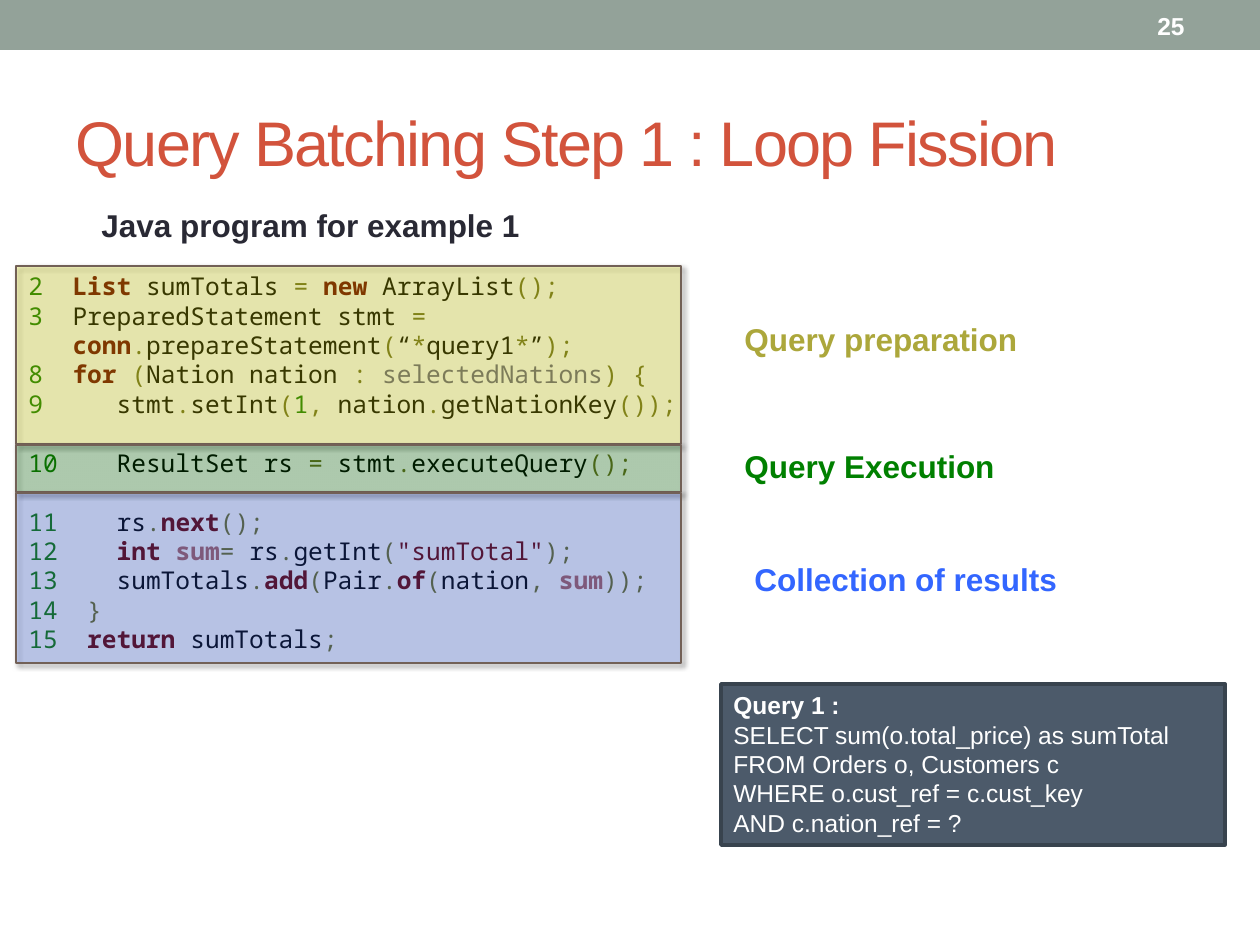
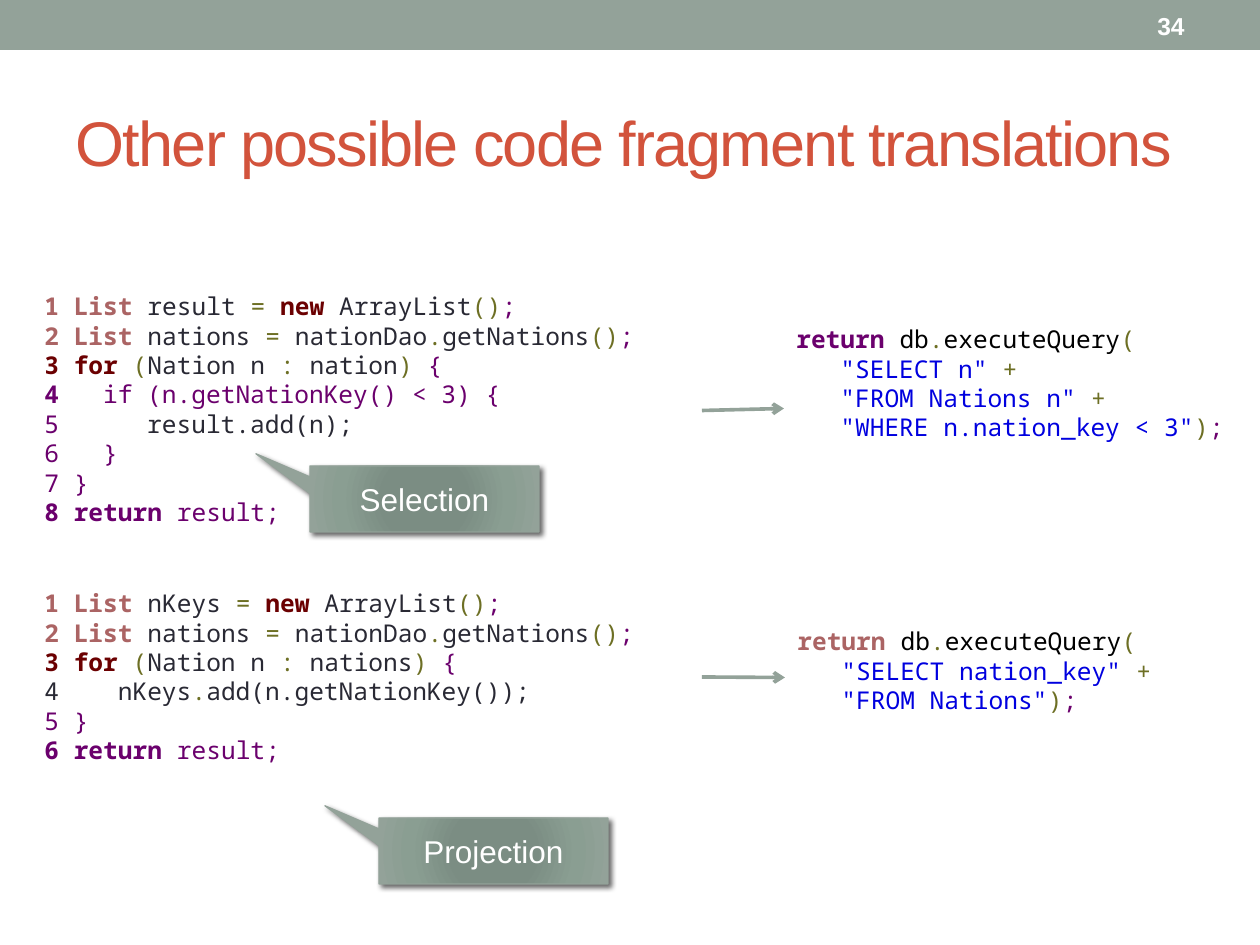
from typing import NamedTuple

from lxml import etree
from pptx import Presentation
from pptx.dml.color import RGBColor
from pptx.enum.shapes import MSO_CONNECTOR, MSO_SHAPE
from pptx.enum.text import MSO_ANCHOR, PP_ALIGN
from pptx.oxml import parse_xml
from pptx.oxml.ns import nsdecls, qn
from pptx.util import Emu, Pt

EMU_PER_PX = 914400 / 126
CODE_SIZE = 14
CODE_COLUMN = 8.4
CODE_LINE = 16.8
SANS = "Arial"
MONO = "Noto Sans Mono"

RECTANGLE = MSO_SHAPE.RECTANGLE
CALLOUT = MSO_SHAPE.RECTANGULAR_CALLOUT
STRAIGHT = MSO_CONNECTOR.STRAIGHT
TOP, MIDDLE = MSO_ANCHOR.TOP, MSO_ANCHOR.MIDDLE
LEFT, CENTER, RIGHT = PP_ALIGN.LEFT, PP_ALIGN.CENTER, PP_ALIGN.RIGHT

WHITE = RGBColor(0xFF, 0xFF, 0xFF)
BLACK = RGBColor(0, 0, 0)
INK = RGBColor(0x29, 0x29, 0x34)
SAGE = RGBColor(0x93, 0xA2, 0x99)
BRICK = RGBColor(0xD2, 0x53, 0x3C)
SLATE = RGBColor(0x4C, 0x5A, 0x6A)
SLATE_DARK = RGBColor(0x38, 0x43, 0x4E)
UMBER = RGBColor(0x72, 0x60, 0x56)
YELLOW = RGBColor(0xFF, 0xFF, 0)
OLIVE = RGBColor(0xAC, 0xA7, 0x3B)
GREEN = RGBColor(0, 0x80, 0)
BLUE = RGBColor(0x33, 0x66, 0xFF)
OPERATOR = RGBColor(0x6D, 0x6F, 0x24)
KEYWORD = RGBColor(0x6B, 0, 0x01)
NUMBER = RGBColor(0x10, 0x7D, 0x02)
ROSE = RGBColor(0xAB, 0x64, 0x64)
FADED = RGBColor(0x66, 0x65, 0x85)
PURPLE = RGBColor(0x6B, 0, 0x6D)
SQL = RGBColor(0, 0, 0xDF)
CALLOUT_STOPS = ((0, "7B8E82"), (34, "7B8D83"), (70, "8A9E92"), (100, "93A299"))

STYLES = {
    "x": (BLACK, False), "i": (INK, False), "o": (OPERATOR, False),
    "K": (KEYWORD, True), "k": (KEYWORD, False), "n": (NUMBER, False),
    "R": (ROSE, True), "f": (FADED, False), "p": (PURPLE, False),
    "P": (PURPLE, True), "s": (SQL, False), "W": (WHITE, True),
}


class Box(NamedTuple):
    left: int
    top: int
    width: int
    height: int

    def emu(self) -> list[Emu]:
        return [Emu(round(length * EMU_PER_PX)) for length in self]


class Line(NamedTuple):
    markup: str
    column: int = 0
    lines_before: int = 0


class Stage(NamedTuple):
    label: str
    area: Box
    label_box: Box
    tint: RGBColor
    label_color: RGBColor


class Translation(NamedTuple):
    java: list[Line]
    java_box: Box
    query: list[Line]
    query_box: Box
    kind: str
    kind_box: Box


LOOP_PROGRAM = [
    Line("~n2\t~KList ~xsumTotals ~o= ~Knew ~xArrayList~o();", 3),
    Line("~n3\t~xPreparedStatement stmt ~o=", 3),
    Line("~Kconn~o.~xprepareStatement~o(~x“~o*~xquery1~o*~x”~o);", 3),
    Line("~n8\t~Kfor ~o(~xNation nation ~o: ~fselectedNations~o) {", 3),
    Line("~n9\t~xstmt~o.~xsetInt~o(~n1~o, ~xnation~o.~xgetNationKey~o());", 6),
    Line("~n10\t~xResultSet rs ~o= ~xstmt~o.~xexecuteQuery~o();", 6, 1),
    Line("~n11\t~xrs~o.~Knext~o();", 6, 1),
    Line('~n12\t~Kint ~Rsum~o= ~xrs~o.~xgetInt~o(~k"sumTotal"~o);', 6),
    Line("~n13\t~xsumTotals~o.~Kadd~o(~xPair~o.~Kof~o(~xnation~o, ~Rsum~o));", 6),
    Line("~n14\t~o}", 4),
    Line("~n15\t~Kreturn ~xsumTotals~o;", 4),
]

QUERY_1 = [
    Line("~WQuery 1 :"),
    Line("SELECT sum(o.total_price) as sumTotal"),
    Line("FROM Orders o, Customers c"),
    Line("WHERE o.cust_ref = c.cust_key"),
    Line("AND c.nation_ref = ?"),
]

STAGES = [
    Stage("Query preparation", Box(16, 266, 665, 178), Box(732, 314, 302, 50), YELLOW, OLIVE),
    Stage("Query Execution", Box(16, 445, 665, 47), Box(732, 441, 302, 50), GREEN, GREEN),
    Stage("Collection of results", Box(16, 493, 665, 170), Box(742, 554, 331, 50), BLUE, BLUE),
]

GET_NATIONS = Line("~R2\tList~i nations ~o= ~inationDao~o.~igetNations~o()~p;", 2)
EXECUTE_QUERY = "~xdb~o.~xexecuteQuery~o("

TRANSLATIONS = [
    Translation(
        [
            Line("~R1\tList~i result ~o= ~Knew ~iArrayList~o()~p;", 2),
            GET_NATIONS,
            Line("~K3\tfor ~o(~iNation n ~o: ~ination~o) ~p{", 2),
            Line("~P4\t~pif (n.getNationKey() < 3) {", 4),
            Line("~p5\t~iresult.add(n);", 7),
            Line("~p6\t}", 4),
            Line("~p7\t}", 2),
            Line("~P8\treturn ~presult;", 2),
        ],
        Box(32, 285, 670, 251),
        [
            Line("~Preturn " + EXECUTE_QUERY),
            Line('~s"SELECT n" ~o+', 3),
            Line('~s"FROM Nations n" ~o+', 3),
            Line('~s"WHERE n.nation_key < 3"~o)~p;', 3),
        ],
        Box(784, 318, 476, 181),
        "Selection", Box(310, 466, 229, 66),
    ),
    Translation(
        [
            Line("~R1\tList ~inKeys ~o= ~Knew ~iArrayList~o()~p;", 2),
            GET_NATIONS,
            Line("~K3\tfor ~o(~iNation n ~o: ~inations~o) ~p{", 2),
            Line("~i4\tnKeys~o.~iadd(n.getNationKey());", 5),
            Line("~p5\t}", 2),
            Line("~P6\treturn ~presult;", 2),
        ],
        Box(32, 582, 670, 190),
        [
            Line("~Rreturn " + EXECUTE_QUERY),
            Line('~s"SELECT nation_key" ~o+', 3),
            Line('~s"FROM Nations"~o)~p;', 3),
        ],
        Box(785, 620, 476, 115),
        "Projection", Box(379, 818, 229, 66),
    ),
]


def write(shape, lines: list[Line], *, size: int = 18, font: str = SANS,
          color: RGBColor = INK, bold: bool = False, align=LEFT, anchor=TOP,
          tracking: int = 0) -> None:
    frame = shape.text_frame
    frame.word_wrap = True
    frame.vertical_anchor = anchor
    for index, line in enumerate(lines):
        paragraph = frame.add_paragraph() if index else frame.paragraphs[0]
        paragraph.alignment = align
        paragraph.space_before = Pt(line.lines_before * CODE_LINE)
        if line.column:
            margin = Pt(line.column * CODE_COLUMN)
            properties = paragraph._p.get_or_add_pPr()
            properties.set("marL", str(margin))
            properties.set("indent", str(-margin if "\t" in line.markup else 0))
        plain, *marked = line.markup.split("~")
        pieces = [(plain, (color, bold))] + [(part[1:], STYLES[part[0]]) for part in marked]
        for words, (run_color, run_bold) in pieces:
            if not words:
                continue
            run = paragraph.add_run()
            run.text = words
            run.font.name = font
            run.font.size = Pt(size)
            run.font.bold = run_bold
            run.font.color.rgb = run_color
            if tracking:
                run._r.get_or_add_rPr().set("spc", str(tracking * 100))


def add_text(shapes, box: Box, lines: list[Line], **text_format):
    text_box = shapes.add_textbox(*box.emu())
    write(text_box, lines, **text_format)
    return text_box


def add_code(shapes, box: Box, lines: list[Line]):
    return add_text(shapes, box, lines, size=CODE_SIZE, font=MONO)


def add_block(shapes, box: Box, fill: RGBColor, line: RGBColor | None = None,
              line_width: float = 0.75, preset=RECTANGLE):
    block = shapes.add_shape(preset, *box.emu())
    block.shadow.inherit = False
    block.fill.solid()
    block.fill.fore_color.rgb = fill
    if line is None:
        block.line.fill.background()
    else:
        block.line.color.rgb = line
        block.line.width = Pt(line_width)
    return block


def cast_shadow(shape) -> None:
    shape._element.spPr.find(qn("a:effectLst")).append(parse_xml(
        f'<a:outerShdw {nsdecls("a")} blurRad="38100" dist="25400" dir="2700000" '
        'rotWithShape="0"><a:srgbClr val="000000"><a:alpha val="60000"/>'
        '</a:srgbClr></a:outerShdw>'))


def add_stage(slide, stage: Stage) -> None:
    shapes = slide.shapes.add_group_shape().shapes
    area = add_block(shapes, stage.area, stage.tint, UMBER)
    tint = area._element.spPr.find(qn("a:solidFill"))[0]
    etree.SubElement(tint, qn("a:alpha")).set("val", "22000")
    cast_shadow(area)
    add_text(shapes, stage.label_box, [Line(stage.label)], color=stage.label_color, bold=True)


def add_callout(slide, box: Box, label: str) -> None:
    callout = add_block(slide.shapes, box, SAGE, SAGE, preset=CALLOUT)
    callout.adjustments[0] = -0.736
    callout.adjustments[1] = -0.685
    stops = "".join(f'<a:gs pos="{position * 1000}"><a:srgbClr val="{color}"/></a:gs>'
                    for position, color in CALLOUT_STOPS)
    properties = callout._element.spPr
    properties.replace(properties.find(qn("a:solidFill")), parse_xml(
        f'<a:gradFill {nsdecls("a")} rotWithShape="1"><a:gsLst>{stops}</a:gsLst>'
        '<a:path path="circle"><a:fillToRect l="100000" t="100000" r="100000" '
        'b="100000"/></a:path></a:gradFill>'))
    cast_shadow(callout)
    write(callout, [Line(label)], color=WHITE, align=CENTER, anchor=MIDDLE)


def add_arrow(slide, source, target) -> None:
    arrow = slide.shapes.add_connector(STRAIGHT, 0, 0, 0, 0)
    arrow.begin_connect(source, 3)
    arrow.end_connect(target, 1)
    arrow.line.color.rgb = SAGE
    arrow.line.width = Pt(2.08)
    etree.SubElement(arrow.line._get_or_add_ln(), qn("a:tailEnd")).set("type", "arrow")
    etree.SubElement(arrow._element.spPr, qn("a:effectLst"))


def add_titled_slide(deck, title: str, number: int, title_width: int):
    slide = deck.slides.add_slide(deck.slide_layouts[5])
    heading = slide.shapes.title
    heading.left, heading.top, heading.width, heading.height = Box(63, 73, title_width, 136).emu()
    write(heading, [Line(title)], size=36, color=BRICK, anchor=MIDDLE, tracking=-1)
    add_block(slide.shapes, Box(0, 0, 1260, 50), SAGE)
    add_text(slide.shapes, Box(1050, 3, 147, 45), [Line(str(number))], size=14,
             color=WHITE, bold=True, align=RIGHT, anchor=MIDDLE)
    return slide


def build_loop_fission(deck) -> None:
    slide = add_titled_slide(deck, "Query Batching Step 1 : Loop Fission", 25, 1162)
    add_code(slide.shapes, Box(16, 265, 702, 398), LOOP_PROGRAM)
    query = add_block(slide.shapes, Box(721, 684, 504, 161), SLATE, SLATE_DARK, 2.08)
    write(query, QUERY_1, size=14, color=WHITE)
    for stage in STAGES:
        add_stage(slide, stage)
    add_text(slide.shapes, Box(89, 200, 494, 50), [Line("Java program for example 1")], bold=True)


def build_translations(deck) -> None:
    slide = add_titled_slide(deck, "Other possible code fragment translations", 34, 1134)
    for translation in TRANSLATIONS:
        java = add_code(slide.shapes, translation.java_box, translation.java)
        query = add_code(slide.shapes, translation.query_box, translation.query)
        add_arrow(slide, java, query)
        add_callout(slide, translation.kind_box, translation.kind)


def main() -> None:
    deck = Presentation()
    deck.slide_width, deck.slide_height = Box(0, 0, 1260, 945).emu()[2:]
    build_loop_fission(deck)
    build_translations(deck)
    deck.save("out.pptx")


if __name__ == "__main__":
    main()
